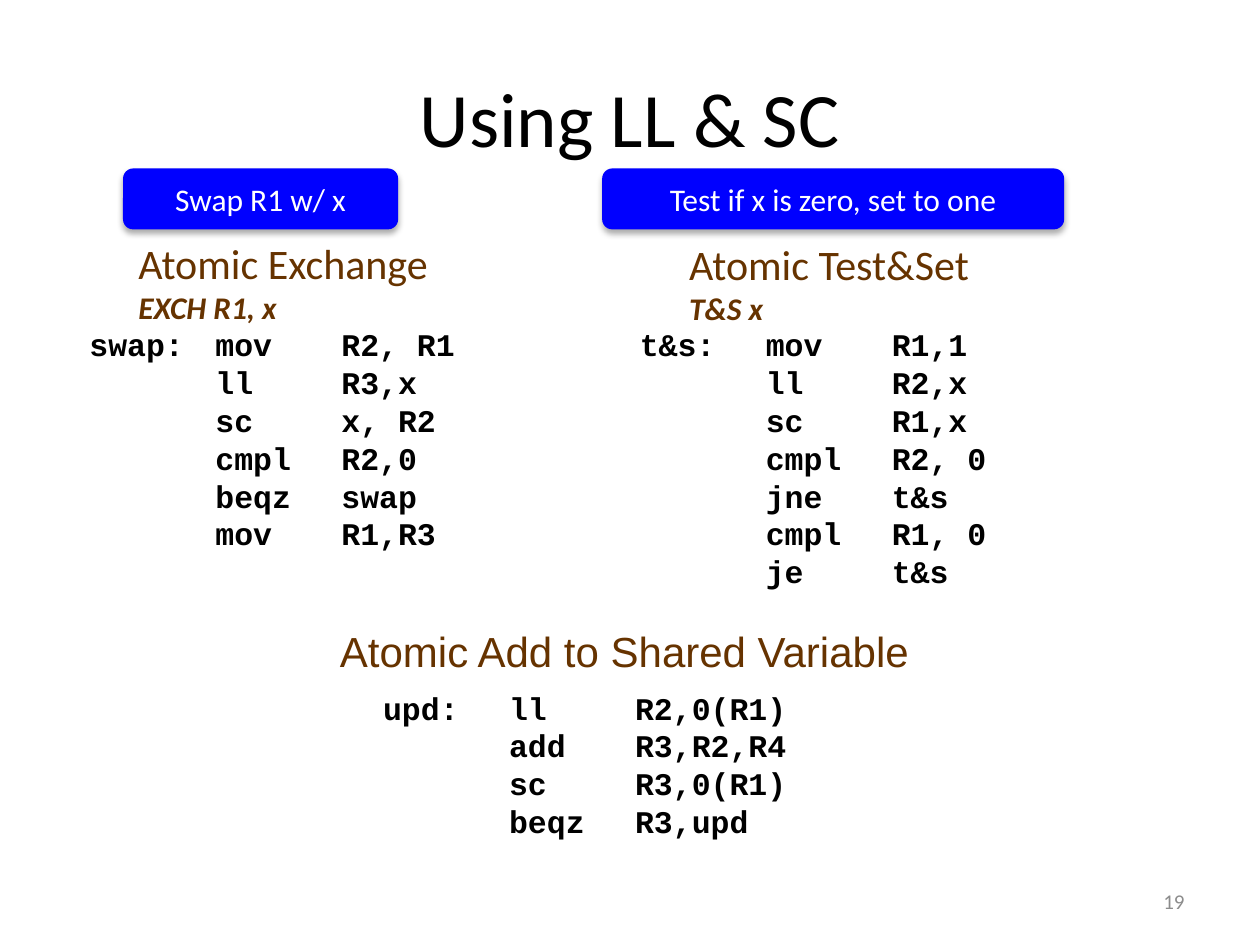
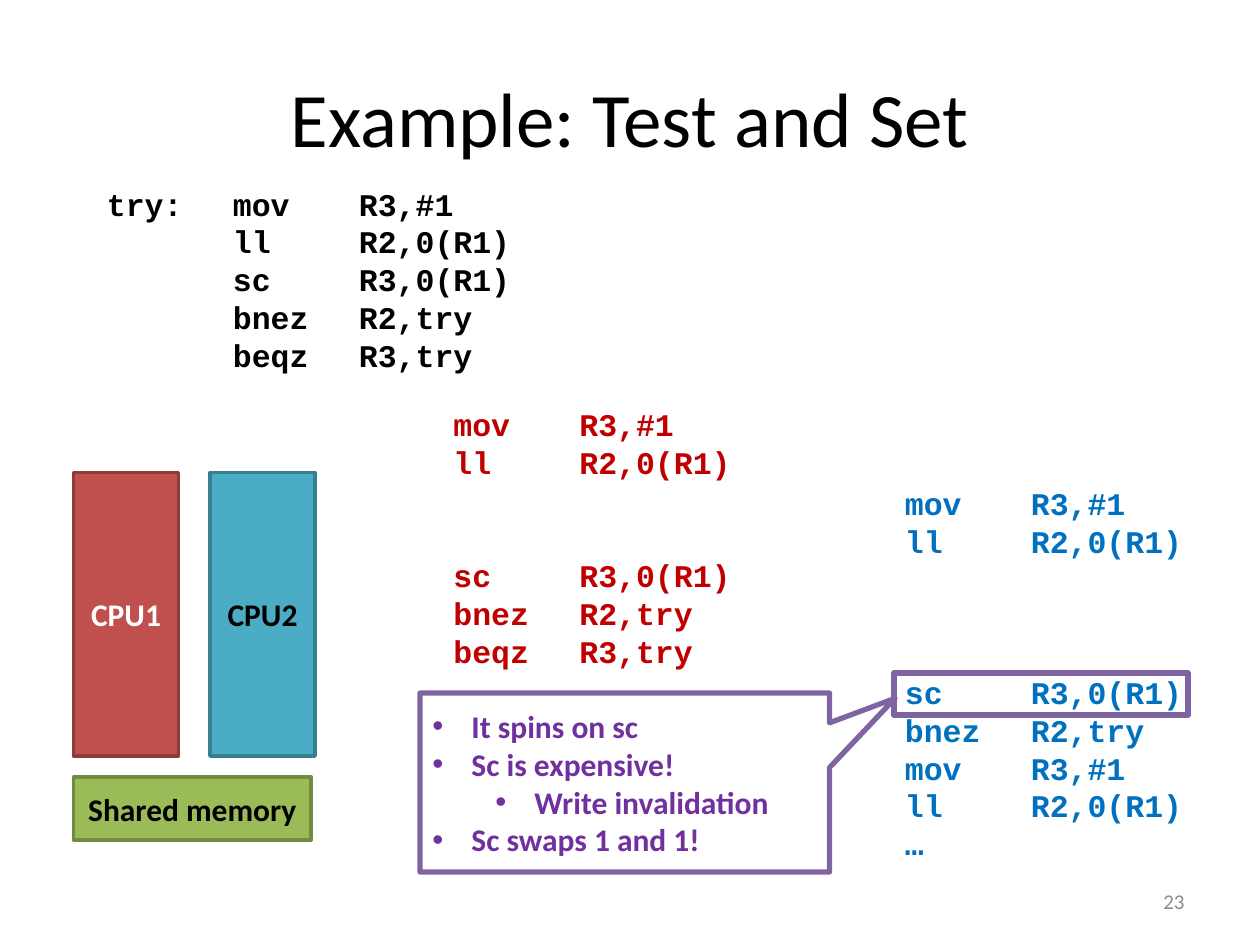
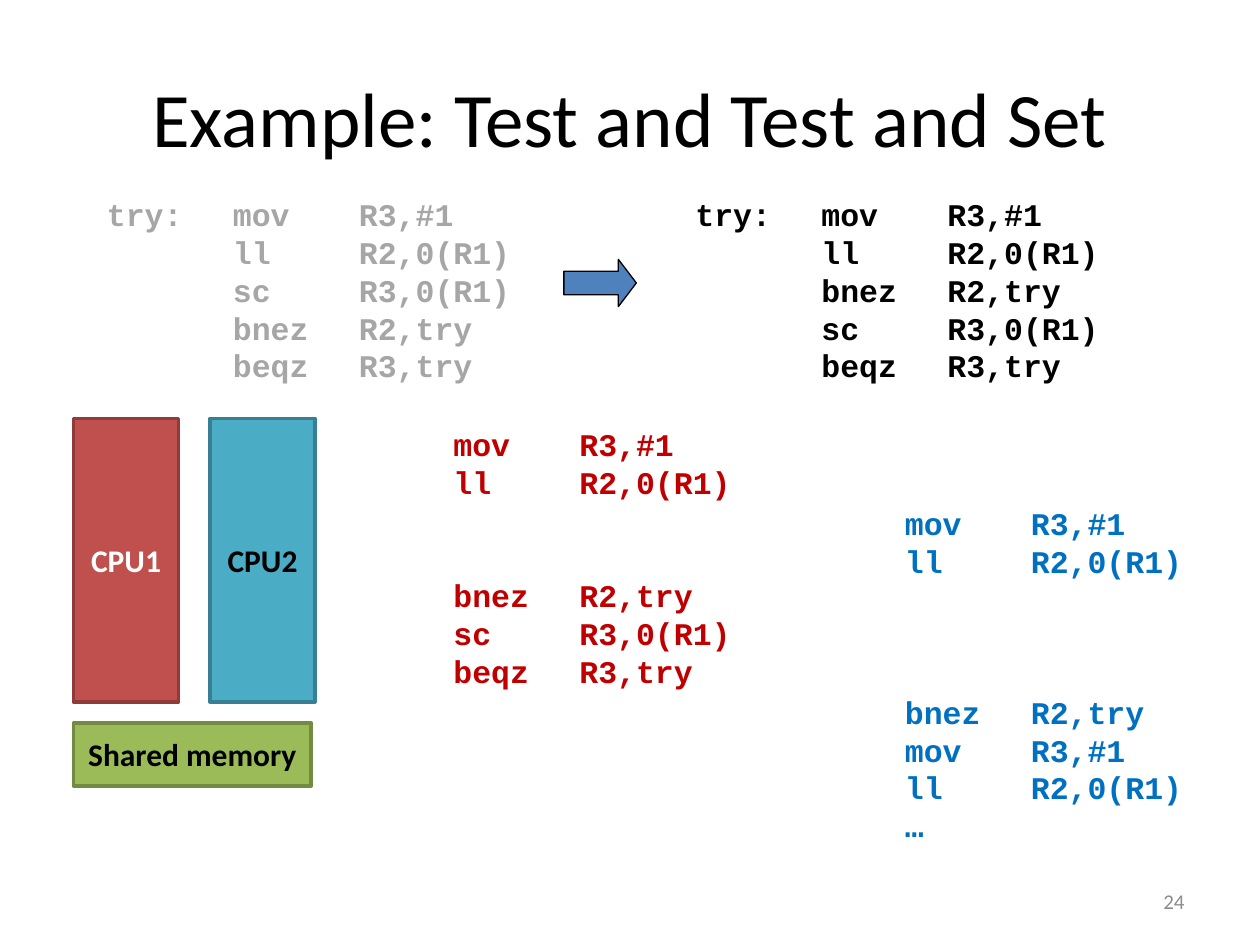
import pptx
import pptx.util
import pptx.dml.color
import pptx.enum.shapes
import pptx.enum.text
import pptx.oxml.ns
import lxml.etree

Pt = pptx.util.Pt
SHAPE = pptx.enum.shapes.MSO_SHAPE
ALIGN = pptx.enum.text.PP_ALIGN
ANCHOR = pptx.enum.text.MSO_ANCHOR

CELL = pptx.util.Inches(1) / 12
COLUMNS, ROWS = 120, 90
LINE_PITCH = 21.6
TAB_STOPS = (12, 24)

COLORS = {
    "black": "000000",
    "white": "FFFFFF",
    "muted": "A6A6A6",
    "number": "8C8C8C",
    "heading": "663300",
    "pill": "0000FF",
    "cpu1": "C0504D",
    "cpu1_edge": "8E3B39",
    "cpu2": "4BACC6",
    "cpu2_edge": "377F92",
    "memory": "9BBB59",
    "memory_edge": "738A42",
    "cpu1_code": "C00000",
    "cpu2_code": "0070C0",
    "accent": "8064A2",
    "remark": "7030A0",
    "arrow": "4F81BD",
}

MOV = "\tmov\tR3,#1"
LL = "\tll\tR2,0(R1)"
SC = "\tsc\tR3,0(R1)"
BNEZ = "\tbnez\tR2,try"
BEQZ = "\tbeqz\tR3,try"
MORE = "\t…"
TEST_AND_SET = ["try:" + MOV, LL, SC, BNEZ, BEQZ]
TEST_TEST_AND_SET = ["try:" + MOV, LL, BNEZ, SC, BEQZ]


def cells(*lengths):
    return [round(length * CELL) for length in lengths]


def rgb(name):
    return pptx.dml.color.RGBColor.from_string(COLORS[name])


def add_xml(parent, tag, **attributes):
    return lxml.etree.SubElement(parent, pptx.oxml.ns.qn(tag), attributes)


def style(para, size, color, name="Calibri", bold=False, italic=False, align=ALIGN.LEFT):
    para.alignment = align
    font = para.font
    font.size, font.name, font.bold, font.italic = Pt(size), name, bold, italic
    font.color.rgb = rgb(color)


def set_tabs(para):
    properties = para._p.get_or_add_pPr()
    tabs = add_xml(properties, "a:tabLst")
    for position in cells(*TAB_STOPS):
        add_xml(tabs, "a:tab", pos=str(position), algn="l")
    properties.find(pptx.oxml.ns.qn("a:defRPr")).addprevious(tabs)


def write_lines(frame, lines):
    frame.text = lines[0]
    for line in lines[1:]:
        frame.add_paragraph().text = line
    return frame.paragraphs


def add_text(page, at, lines, wrap=True):
    box = page.shapes.add_textbox(*cells(*at))
    box.text_frame.word_wrap = wrap
    return box, write_lines(box.text_frame, lines)


def add_page(deck, title, number):
    page = deck.slides.add_slide(deck.slide_layouts[5])
    box = page.shapes.title
    box.left, box.top, box.width, box.height = cells(6, 3.6, 108, 15)
    box.text_frame.text = title
    box.text_frame.vertical_anchor = ANCHOR.MIDDLE
    style(box.text_frame.paragraphs[0], 44, "black", align=ALIGN.CENTER)
    box, paras = add_text(page, (86, 83.4, 28, 4.8), [str(number)])
    box.text_frame.vertical_anchor = ANCHOR.MIDDLE
    style(paras[0], 12, "number", align=ALIGN.RIGHT)
    return page


def add_code(page, left, top, width, sections, color="black", gap=0):
    lines = [line for section in sections for line in section]
    at = (left, top, width, len(lines) * 3.6 + 1.2)
    paras = add_text(page, at, lines)[1]
    for para in paras:
        style(para, 18, color, "Courier New", bold=True)
        para.line_spacing = Pt(LINE_PITCH)
        set_tabs(para)
    start = 0
    for section in sections[:-1]:
        start += len(section)
        paras[start].space_before = Pt(gap * LINE_PITCH)


def add_heading(page, at, heading, call=None, name="Calibri"):
    paras = add_text(page, at, [heading, call] if call else [heading], wrap=False)[1]
    style(paras[0], 24, "heading", name)
    for para in paras[1:]:
        style(para, 18, "heading", bold=True, italic=True)


def add_block(page, kind, at, fill=None, edge=None, edge_width=2):
    block = page.shapes.add_shape(kind, *cells(*at))
    block.shadow.inherit = False
    if fill:
        block.fill.solid()
        block.fill.fore_color.rgb = rgb(fill)
    else:
        block.fill.background()
    if edge:
        block.line.color.rgb = rgb(edge)
        block.line.width = Pt(edge_width)
    else:
        block.line.fill.background()
    block.text_frame.vertical_anchor = ANCHOR.MIDDLE
    return block


def label(block, text, color, bold=True):
    block.text_frame.text = text
    style(block.text_frame.paragraphs[0], 18, color, bold=bold, align=ALIGN.CENTER)


def add_pill(page, left, width, text):
    pill = add_block(page, SHAPE.ROUNDED_RECTANGLE, (left, 16.05, width, 5.8), "pill")
    pill.text_frame.word_wrap = False
    label(pill, text, "white", bold=False)
    effects = pill.fill._xPr.find(pptx.oxml.ns.qn("a:effectLst"))
    shadow = add_xml(effects, "a:outerShdw", blurRad=str(Pt(3.5)), dist=str(Pt(2.2)),
                     dir="5400000", rotWithShape="0")
    shade = add_xml(shadow, "a:srgbClr", val=COLORS["black"])
    add_xml(shade, "a:alpha", val="32000")


def add_machine(page, top):
    processors = [("CPU1", "cpu1", "white"), ("CPU2", "cpu2", "black")]
    for index, (name, fill, color) in enumerate(processors):
        at = (7 + 13 * index, top, 10, 27)
        label(add_block(page, SHAPE.RECTANGLE, at, fill, fill + "_edge"), name, color)
    at = (7, top + 29, 22.65, 6)
    memory = add_block(page, SHAPE.RECTANGLE, at, "memory", "memory_edge")
    label(memory, "Shared memory", "black")


def add_callout(page, at, tip, remarks):
    callout = add_block(page, SHAPE.RECTANGULAR_CALLOUT, at, "white", "accent", 3)
    for index, share in enumerate(tip):
        callout.adjustments[index] = share
    paras = write_lines(callout.text_frame, [text for text, _ in remarks])
    for para, (_, level) in zip(paras, remarks):
        style(para, 18, "remark", bold=True)
        para.level = level
        properties = para._p.get_or_add_pPr()
        properties.set("marL", str(pptx.util.Inches(0.31 + 0.5 * level)))
        properties.set("indent", str(pptx.util.Inches(-0.31)))
        bullet_font = add_xml(properties, "a:buFont", typeface="Arial")
        bullet = add_xml(properties, "a:buChar", char="•")
        properties.insert(0, bullet_font)
        properties.insert(1, bullet)


def build_ll_sc(deck):
    page = add_page(deck, "Using LL & SC", 19)
    add_code(page, 7.33, 30.4, 44, [[
        "swap:\tmov\tR2, R1", "\tll\tR3,x", "\tsc\tx, R2",
        "\tcmpl\tR2,0", "\tbeqz\tswap", "\tmov\tR1,R3"]])
    add_heading(page, (12, 22, 30.5, 9.7), "Atomic Exchange", "EXCH R1, x")
    add_code(page, 35.3, 65, 44, [[
        "upd:\tll\tR2,0(R1)", "\tadd\tR3,R2,R4", SC, "\tbeqz\tR3,upd"]])
    add_heading(page, (31.2, 59, 57.1, 6), "Atomic Add to Shared Variable", name="Arial")
    add_code(page, 59.75, 30.4, 44, [[
        "t&s:\tmov\tR1,1", "\tll\tR2,x", "\tsc\tR1,x", "\tcmpl\tR2, 0",
        "\tjne\tt&s", "\tcmpl\tR1, 0", "\tje\tt&s"]])
    add_heading(page, (64.45, 22.1, 30.1, 9.7), "Atomic Test&Set", "T&S x")
    add_pill(page, 11.72, 26.2, "Swap R1 w/ x")
    add_pill(page, 57.35, 44, "Test if x is zero, set to one")


def build_test_and_set(deck):
    page = add_page(deck, "Example: Test and Set", 23)
    add_code(page, 9, 17, 46, [TEST_AND_SET])
    add_machine(page, 45)
    add_code(page, 30, 38, 42, [[MOV, LL], [SC, BNEZ, BEQZ]], "cpu1_code", gap=2)
    add_code(page, 73, 45.5, 42, [[MOV, LL], [SC, BNEZ, MOV, LL, MORE]], "cpu2_code", gap=3)
    add_block(page, SHAPE.RECTANGLE, (85.15, 64.1, 28, 4), edge="accent", edge_width=3)
    add_callout(page, (40, 66, 39, 17.05), (0.66, -0.47), [
        ("It spins on sc", 0), ("Sc is expensive!", 0),
        ("Write invalidation", 1), ("Sc swaps 1 and 1!", 0)])


def build_test_and_test_and_set(deck):
    page = add_page(deck, "Example: Test and Test and Set", 24)
    add_code(page, 9, 18, 46, [TEST_AND_SET], "muted")
    add_code(page, 65.05, 18, 46, [TEST_TEST_AND_SET])
    arrow = add_block(page, SHAPE.RIGHT_ARROW, (53.7, 24.7, 6.9, 4.5), "arrow", "black", 0.75)
    arrow.adjustments[1] = 0.38
    add_machine(page, 39.85)
    add_code(page, 30, 39.9, 42, [[MOV, LL], [BNEZ, SC, BEQZ]], "cpu1_code", gap=2)
    add_code(page, 73, 47.4, 42, [[MOV, LL], [BNEZ, MOV, LL, MORE]], "cpu2_code", gap=3)


def main():
    deck = pptx.Presentation()
    deck.slide_width, deck.slide_height = cells(COLUMNS, ROWS)
    build_ll_sc(deck)
    build_test_and_set(deck)
    build_test_and_test_and_set(deck)
    deck.save("out.pptx")


if __name__ == "__main__":
    main()
